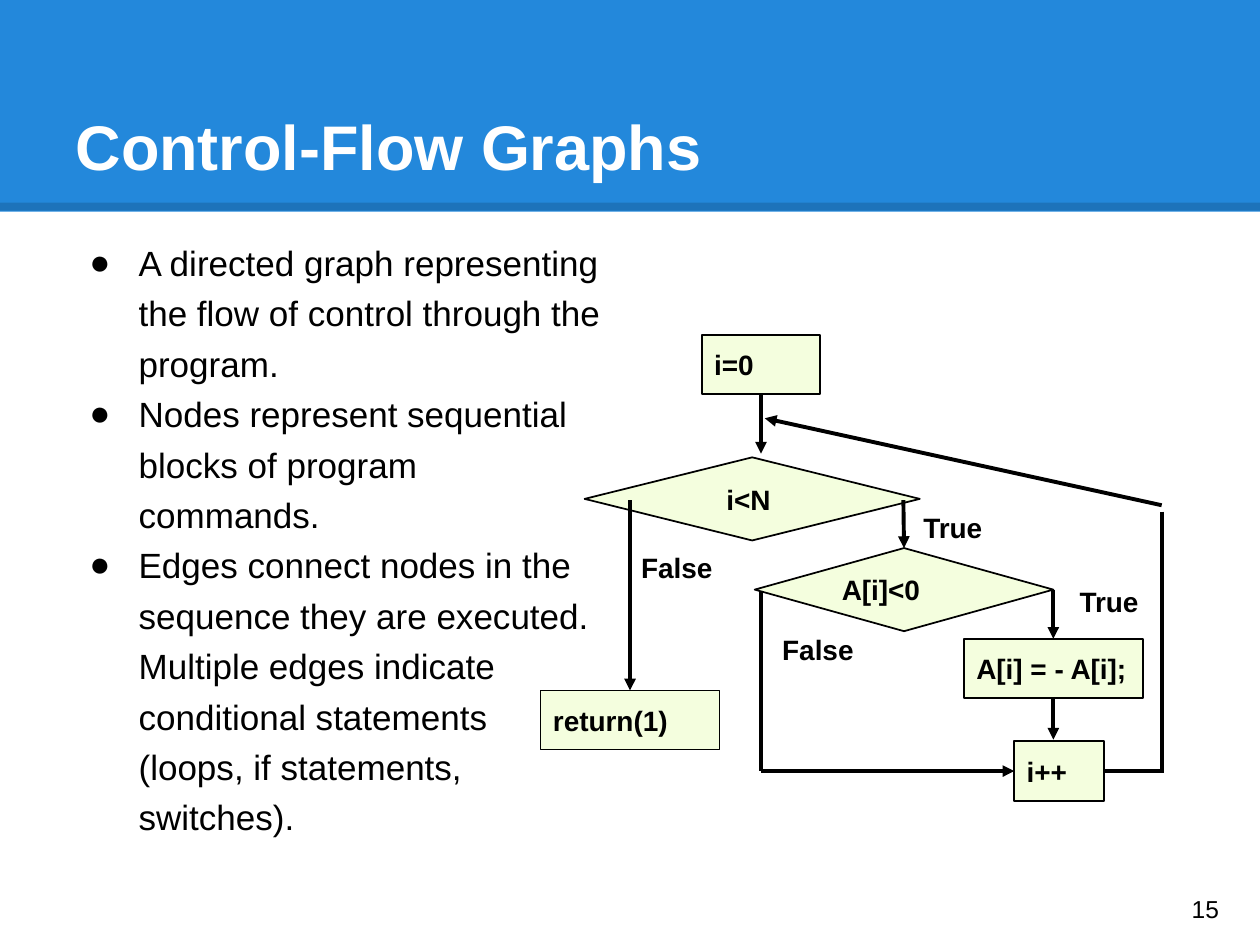
from typing import NamedTuple, Optional

from lxml import etree
from pptx import Presentation
from pptx import util as u
from pptx.dml.color import RGBColor
from pptx.enum import shapes, text
from pptx.oxml import ns

FONT = "Arial"
BLACK, WHITE, BLUE, CREAM = "000000", "FFFFFF", "2388DB", "F4FEDE"
RECT, DIAMOND = shapes.MSO_SHAPE.RECTANGLE, shapes.MSO_SHAPE.DIAMOND
TOP, LEFT, BOTTOM, RIGHT = range(4)
MIDDLE = text.MSO_ANCHOR.MIDDLE


class Node(NamedTuple):
    label: str
    kind: int
    x: float
    y: float
    w: float
    h: float
    inset: float = 0.1


class Edge(NamedTuple):
    start: tuple
    end: tuple
    head: Optional[str] = None
    source: Optional[tuple] = None
    target: Optional[tuple] = None


class Label(NamedTuple):
    words: str
    x: float
    y: float


NODES = [
    Node("i=0", RECT, 5.57, 2.66, 0.94, 0.47),
    Node("i<N", DIAMOND, 4.64, 3.63, 2.66, 0.66, 0.46),
    Node("A[i]<0", DIAMOND, 5.99, 4.35, 2.37, 0.66),
    Node("A[i] = - A[i];", RECT, 7.65, 5.07, 1.42, 0.47),
    Node("return(1)", RECT, 4.29, 5.48, 1.42, 0.47),
    Node("i++", RECT, 8.05, 5.88, 0.71, 0.48),
]
EDGES = [
    Edge((6.04, 3.13), (6.04, 3.6), "tailEnd", source=("i=0", BOTTOM)),
    Edge((7.17, 3.97), (7.17, 4.35), "tailEnd", target=("A[i]<0", TOP)),
    Edge((5, 3.97), (5, 5.48), "tailEnd", target=("return(1)", TOP)),
    Edge((8.36, 4.68), (8.36, 5.07), "tailEnd",
         ("A[i]<0", RIGHT), ("A[i] = - A[i];", TOP)),
    Edge((8.36, 5.54), (8.36, 5.87), "tailEnd", source=("A[i] = - A[i];", BOTTOM)),
    Edge((6.04, 4.69), (6.04, 6.12)),
    Edge((6.04, 6.12), (8.05, 6.12), "tailEnd", target=("i++", LEFT)),
    Edge((8.76, 6.12), (9.24, 6.12), source=("i++", RIGHT)),
    Edge((9.22, 4.06), (9.22, 6.12)),
    Edge((6.07, 3.32), (9.22, 4.01), "headEnd"),
]
LABELS = [
    Label("True", 7.23, 4),
    Label("False", 4.99, 4.32),
    Label("True", 8.47, 4.59),
    Label("False", 6.11, 4.97),
]
POINTS = [
    "A directed graph representing the flow of control through the program.",
    "Nodes represent sequential blocks of program commands.",
    "Edges connect nodes in the sequence they are executed. Multiple edges "
    "indicate conditional statements (loops, if statements, switches).",
]


def rgb(value: str) -> RGBColor:
    return RGBColor.from_string(value)


def place(sp, x: float, y: float, w: float, h: float) -> None:
    sp.left, sp.top, sp.width, sp.height = map(u.Inches, (x, y, w, h))


def set_frame(tf, anchor, inset_x: float = 0.1, inset_y: float = 0.05) -> None:
    tf.word_wrap = True
    tf.auto_size = text.MSO_AUTO_SIZE.NONE
    tf.vertical_anchor = anchor
    tf.margin_left, tf.margin_right = u.Inches(inset_x), u.Inches(0.1)
    tf.margin_top = tf.margin_bottom = u.Inches(inset_y)


def add_run(p, words: str, size: float, color: str = BLACK, bold: bool = False) -> None:
    p.alignment = text.PP_ALIGN.LEFT
    r = p.add_run()
    r.text = words
    r.font.name, r.font.size, r.font.bold = FONT, u.Pt(size), bold
    r.font.color.rgb = rgb(color)


def add_bullet(p) -> None:
    pPr = p._p.get_or_add_pPr()
    pPr.set("marL", str(u.Inches(0.5)))
    pPr.set("indent", str(u.Inches(-0.39)))
    color = etree.SubElement(pPr, ns.qn("a:buClr"))
    etree.SubElement(color, ns.qn("a:srgbClr"), val=BLACK)
    etree.SubElement(pPr, ns.qn("a:buFont"), typeface=FONT)
    etree.SubElement(pPr, ns.qn("a:buChar"), char="●")


def add_box(s, kind: int, x: float, y: float, w: float, h: float, fill: str):
    sp = s.shapes.add_shape(kind, *map(u.Inches, (x, y, w, h)))
    sp.shadow.inherit = False
    sp.fill.solid()
    sp.fill.fore_color.rgb = rgb(fill)
    return sp


def add_node(s, node: Node):
    sp = add_box(s, node.kind, node.x, node.y, node.w, node.h, CREAM)
    sp.line.color.rgb = rgb(BLACK)
    sp.line.width = u.Pt(1)
    set_frame(sp.text_frame, MIDDLE, node.inset)
    add_run(sp.text_frame.paragraphs[0], node.label, 16, bold=True)
    return sp


def add_line(s, start: tuple, end: tuple, width: float):
    line = s.shapes.add_connector(
        shapes.MSO_CONNECTOR.STRAIGHT, *map(u.Inches, start + end))
    line.line.color.rgb = rgb(BLACK)
    line.line.width = u.Pt(width)
    etree.SubElement(line._element.spPr, ns.qn("a:effectLst"))
    return line


def add_edge(s, edge: Edge, nodes: dict) -> None:
    line = add_line(s, edge.start, edge.end, 2.25)
    if edge.source:
        line.begin_connect(nodes[edge.source[0]], edge.source[1])
    if edge.target:
        line.end_connect(nodes[edge.target[0]], edge.target[1])
    if edge.head:
        etree.SubElement(line.line._get_or_add_ln(), ns.qn("a:" + edge.head),
                         type="triangle")


def add_text(s, words: str, x: float, y: float, w: float, h: float, size: float,
             anchor=text.MSO_ANCHOR.TOP, bold: bool = False) -> None:
    tf = s.shapes.add_textbox(*map(u.Inches, (x, y, w, h))).text_frame
    set_frame(tf, anchor)
    add_run(tf.paragraphs[0], words, size, bold=bold)


def add_header(s) -> None:
    title = s.shapes.title
    band = add_box(s, RECT, 0, 0, 10, 1.68, BLUE)
    band.line.fill.background()
    rule = add_line(s, (0, 1.64), (10, 1.64), 4.5)
    color = next(rule._element.iter(ns.qn("a:srgbClr")))
    etree.SubElement(color, ns.qn("a:alpha"), val="15000")
    for sp in (band, rule):
        title._element.addprevious(sp._element)
    place(title, 0.5, 0.3, 9, 1.25)
    set_frame(title.text_frame, text.MSO_ANCHOR.BOTTOM, inset_y=0.1)
    add_run(title.text_frame.paragraphs[0], "Control-Flow Graphs", 36, WHITE, True)


def add_points(s) -> None:
    body = s.placeholders[1]
    place(body, 0.5, 1.75, 4.37, 5.43)
    tf = body.text_frame
    set_frame(tf, text.MSO_ANCHOR.TOP, inset_y=0.1)
    for i, point in enumerate(POINTS):
        p = tf.add_paragraph() if i else tf.paragraphs[0]
        add_bullet(p)
        p.line_spacing = 1.2
        p.space_before = u.Pt(0)
        add_run(p, point, 20)


def main() -> None:
    prs = Presentation()
    prs.slide_width, prs.slide_height = u.Inches(10), u.Inches(7.5)
    s = prs.slides.add_slide(prs.slide_layouts[1])
    add_header(s)
    add_points(s)
    nodes = {node.label: add_node(s, node) for node in NODES}
    for edge in EDGES:
        add_edge(s, edge, nodes)
    for label in LABELS:
        add_text(s, label.words, label.x, label.y, 0.93, 0.35, 16, bold=True)
    add_text(s, "15", 9.36, 6.93, 0.6, 0.57, 14, MIDDLE)
    prs.save("out.pptx")


if __name__ == "__main__":
    main()
